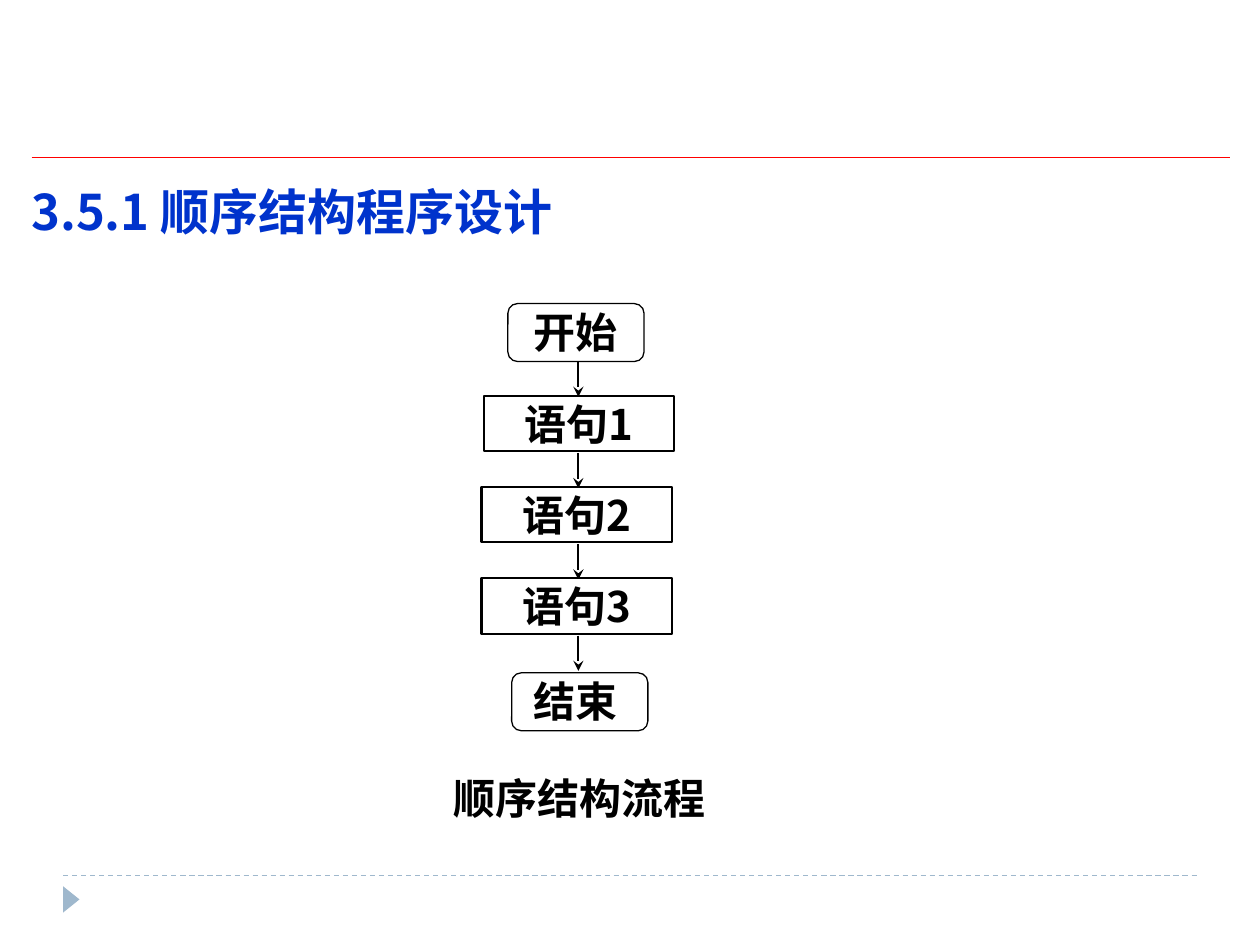
from lxml.etree import SubElement
from pptx import Presentation
from pptx.dml.color import RGBColor
from pptx.enum.dml import MSO_LINE
from pptx.enum.shapes import MSO_CONNECTOR, MSO_SHAPE
from pptx.enum.text import MSO_ANCHOR, PP_ALIGN
from pptx.oxml.ns import qn
from pptx.util import Pt

FONT = "Noto Sans CJK SC"
BLACK = RGBColor(0x00, 0x00, 0x00)
WHITE = RGBColor(0xFF, 0xFF, 0xFF)
RED = RGBColor(0xFF, 0x00, 0x00)
HEADING_BLUE = RGBColor(0x00, 0x33, 0xCC)
FOOTER_BLUE = RGBColor(0x9F, 0xB8, 0xCD)


def write(shape, text, size=24, color=BLACK, align=PP_ALIGN.CENTER,
          anchor=MSO_ANCHOR.MIDDLE, inset=(1.44, 0.72)):
    """Write one bold paragraph into a shape and return the paragraph."""
    frame = shape.text_frame
    frame.word_wrap = True
    frame.vertical_anchor = anchor
    frame.margin_left = frame.margin_right = Pt(inset[0])
    frame.margin_top = frame.margin_bottom = Pt(inset[1])
    paragraph = frame.paragraphs[0]
    paragraph.alignment = align
    run = paragraph.add_run()
    run.text = text
    run.font.size = Pt(size)
    run.font.bold = True
    run.font.name = FONT
    run.font.color.rgb = color
    SubElement(run.font._element, qn("a:ea")).set("typeface", FONT)
    return paragraph


def add_text(slide, box, text, **style):
    """Add a text box and return its paragraph."""
    return write(slide.shapes.add_textbox(*map(Pt, box)), text, **style)


def add_box(slide, kind, box, fill, line_width=None):
    """Add a flat filled shape, outlined in black when a width is given."""
    shape = slide.shapes.add_shape(kind, *map(Pt, box))
    shape.shadow.inherit = False
    shape.fill.solid()
    shape.fill.fore_color.rgb = fill
    if line_width:
        shape.line.color.rgb = BLACK
        shape.line.width = Pt(line_width)
    else:
        shape.line.fill.background()
    return shape


def add_line(slide, start, end, color, width):
    """Add a straight line without a shadow."""
    line = slide.shapes.add_connector(
        MSO_CONNECTOR.STRAIGHT, *map(Pt, (*start, *end)))
    line.line.color.rgb = color
    line.line.width = Pt(width)
    SubElement(line._element.spPr, qn("a:effectLst"))
    return line


def add_heading(slide, left, top, width, height):
    """Place the red rule and the section heading below it."""
    add_line(slide, (left + 7.2, top), (left + width, top), RED, 0.75)
    heading = add_text(slide, (left, top, width, height), "3.5.1 顺序结构程序设计",
                       size=28, color=HEADING_BLUE, align=PP_ALIGN.LEFT,
                       anchor=MSO_ANCHOR.TOP, inset=(7.2, 3.6))
    heading.line_spacing = 1.3
    heading.space_before = Pt(6)
    properties = heading._p.get_or_add_pPr()
    properties.set("marL", str(Pt(21.6)))
    properties.set("indent", str(-Pt(21.6)))


def add_flowchart(slide, left, top, width, height):
    """Place the start, three statements, end, arrows and caption."""
    step_width, step_height, pitch = 108.7, 31.7, 52.2
    axis = left + 133.9
    for index in range(4):
        arrow_top = top + 33.1 + index * pitch
        arrow = add_line(slide, (axis, arrow_top), (axis, arrow_top + 20.2),
                         BLACK, 1.25)
        SubElement(arrow.line._get_or_add_ln(), qn("a:tailEnd")).set("type", "stealth")

    for index, offset in enumerate((79.9, 78.5, 78.5)):
        step = (left + offset, top + 52.6 + index * pitch, step_width, step_height)
        write(add_box(slide, MSO_SHAPE.RECTANGLE, step, WHITE, 1.25),
              f"语句{index + 1}")

    for label, offset, drop in (("开始", 93.6, 0), ("结束", 95.8, 211)):
        terminal = (left + offset, top + drop, 77.8, 33.1)
        add_box(slide, MSO_SHAPE.ROUNDED_RECTANGLE, terminal, WHITE, 0.75)
        add_text(slide, (left + 77.8, top + drop, step_width, step_height), label)

    caption_height = 26.6
    add_text(slide, (left, top + height - caption_height, width, caption_height),
             " 顺序结构流程", anchor=MSO_ANCHOR.TOP, inset=(0, 0))


def add_footer(slide, left, top, width, height):
    """Place the dashed rule and the marker pointing right."""
    rule = add_line(slide, (left, top), (left + width, top), FOOTER_BLUE, 0.75)
    rule.line.dash_style = MSO_LINE.DASH
    base, depth = 15.1, 9.4
    marker = add_box(slide, MSO_SHAPE.ISOSCELES_TRIANGLE,
                     (left + (depth - base) / 2, top + height - (base + depth) / 2,
                      base, depth), FOOTER_BLUE)
    marker.rotation = 90


def main():
    """Build and save the slide."""
    deck = Presentation()
    deck.slide_width, deck.slide_height = Pt(720), Pt(540)
    slide = deck.slides.add_slide(deck.slide_layouts[6])
    add_footer(slide, 36, 500.4, 648, 21.1)
    add_heading(slide, 10.8, 90, 691.9, 72)
    add_flowchart(slide, 196.6, 173.5, 263.5, 294.5)
    deck.save("out.pptx")


if __name__ == "__main__":
    main()
